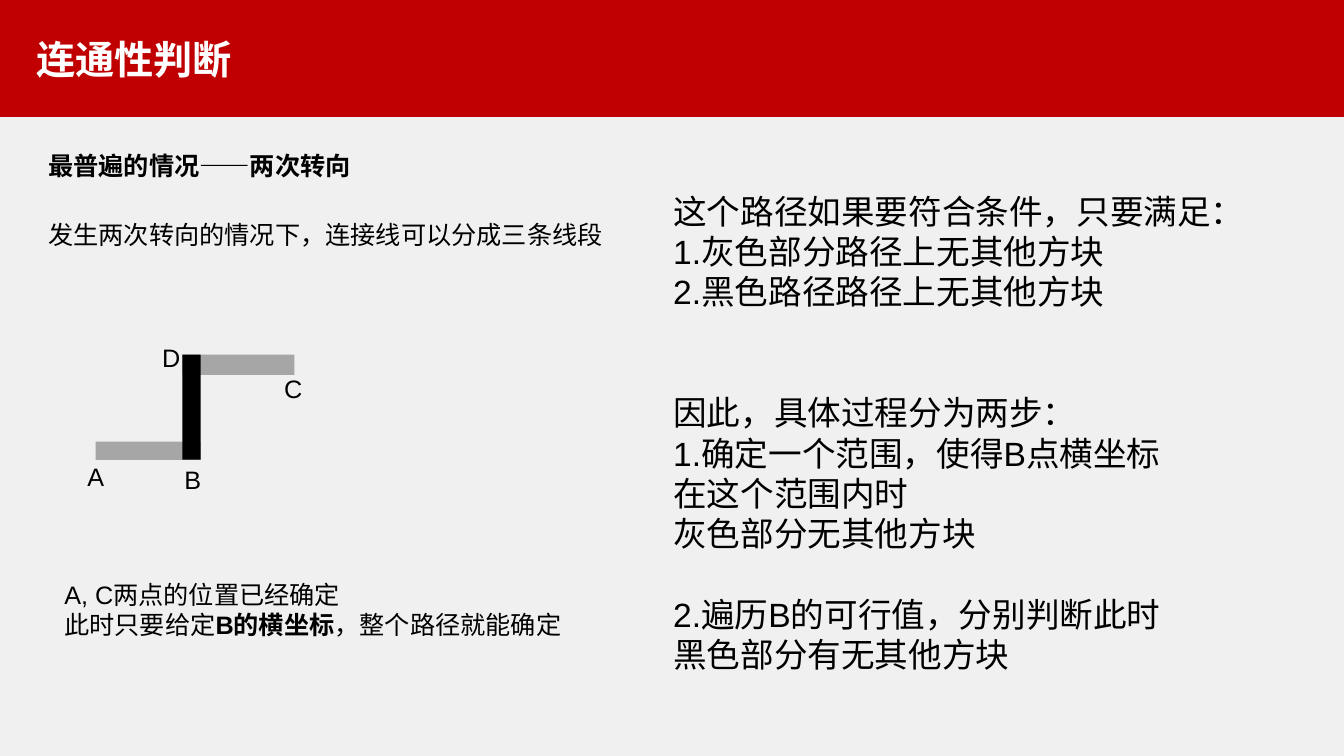
import pptx
import pptx.dml.color
import pptx.enum.shapes
import pptx.enum.text
import pptx.util

Pt = pptx.util.Pt
RED, GREY, BLACK, WHITE = "C00000", "A6A6A6", "000000", "FFFFFF"
LINE_PITCH = 28.8  # height of one line of the 24 pt text


def colour(code):
    return pptx.dml.color.RGBColor.from_string(code)


def span(text, **style):
    """A piece of text with its format: size, bold, color."""
    return text, style


class Slide:
    font = "Arial"
    size = 18

    def __init__(self, deck, background):
        self.page = deck.slides.add_slide(deck.slide_layouts[6])
        fill = self.page.background.fill
        fill.solid()
        fill.fore_color.rgb = colour(background)

    def bar(self, left, top, width, height, color):
        kind = pptx.enum.shapes.MSO_SHAPE.RECTANGLE
        shape = self.page.shapes.add_shape(kind, Pt(left), Pt(top), Pt(width), Pt(height))
        shape.shadow.inherit = False
        shape.fill.solid()
        shape.fill.fore_color.rgb = colour(color)
        shape.line.fill.background()

    def text(self, left, top, width, height, paragraphs, wrap=True, inset=3.6):
        """Each paragraph is a pair: space before it, list of spans."""
        box = self.page.shapes.add_textbox(Pt(left), Pt(top), Pt(width), Pt(height))
        frame = box.text_frame
        frame.word_wrap = wrap
        frame.auto_size = pptx.enum.text.MSO_AUTO_SIZE.SHAPE_TO_FIT_TEXT
        frame.margin_top = Pt(inset)
        for index, (space, spans) in enumerate(paragraphs):
            para = frame.add_paragraph() if index else frame.paragraphs[0]
            para.space_before = Pt(space)
            for words, style in spans:
                run = para.add_run()
                run.text = words
                run.font.name = self.font
                run.font.size = Pt(style.get("size", self.size))
                run.font.bold = style.get("bold", False)
                run.font.color.rgb = colour(style.get("color", BLACK))


def main():
    deck = pptx.Presentation()
    deck.slide_width, deck.slide_height = Pt(960), Pt(540)
    slide = Slide(deck, "F0F0F0")

    # Title band
    slide.bar(0, 0, 960, 83.5, RED)
    slide.text(18.7, 21.6, 249.8, 41,
               [(0, [span("连通性判断", size=28, bold=True, color=WHITE)])])

    # Introduction
    slide.text(27.4, 103.7, 240.5, 29, [(0, [span("最普遍的情况——两次转向", bold=True)])])
    slide.text(27.4, 153.4, 410.4, 29,
               [(0, [span("发生两次转向的情况下，连接线可以分成三条线段")])], wrap=False)

    # Path with two turns
    slide.bar(130.3, 253.4, 79.9, 14.4, GREY)
    slide.bar(68.4, 315.4, 74.9, 13, GREY)
    slide.bar(130.3, 253.4, 13, 74.9, BLACK)
    for name, left, top in [("A", 55.4, 326.2), ("C", 195.8, 262.8),
                            ("B", 124.6, 328.3), ("D", 108.7, 241.2)]:
        slide.text(left, top, 27, 29, [(0, [span(name)])], wrap=False)

    # What fixes the path
    slide.text(38.9, 410.4, 369.4, 72.7, [
        (0, [span("A, C两点的位置已经确定")]),
        (0, [span("此时只要给定"), span("B的横坐标", bold=True), span("，整个路径就能确定")]),
    ])

    # Conditions and steps; the number counts the lines left free above
    lines = [
        (0, "这个路径如果要符合条件，只要满足："),
        (0, "1.灰色部分路径上无其他方块"),
        (0, "2.黑色路径路径上无其他方块"),
        (2, "因此，具体过程分为两步："),
        (0, "1.确定一个范围，使得B点横坐标"),
        (0, "在这个范围内时"),
        (0, "灰色部分无其他方块"),
        (1, "2.遍历B的可行值，分别判断此时"),
        (0, "黑色部分有无其他方块"),
    ]
    slide.text(473.8, 103.7, 422.6, 385.2,
               [(free * LINE_PITCH, [span(words, size=24)]) for free, words in lines],
               inset=3.6 + LINE_PITCH)

    deck.save("out.pptx")


if __name__ == "__main__":
    main()
